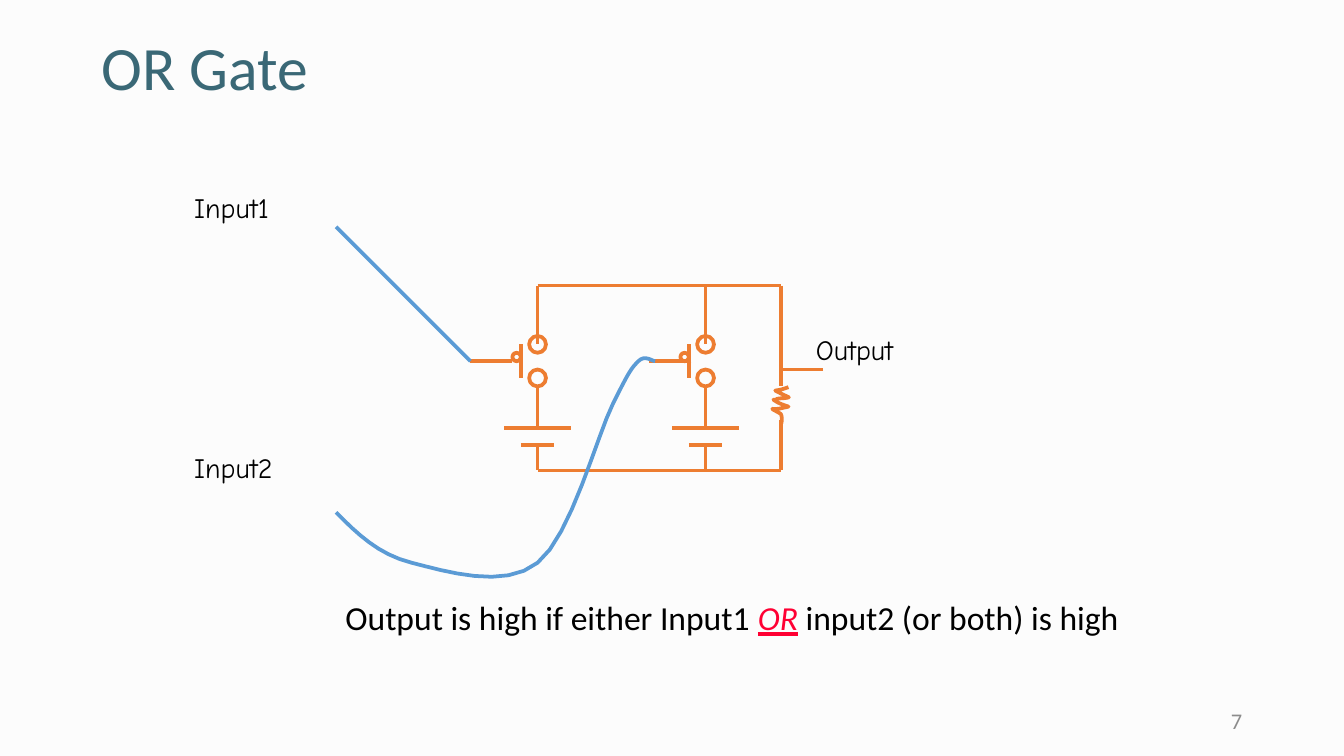
from dataclasses import dataclass

from lxml import etree
from pptx import Presentation
from pptx.dml.color import RGBColor
from pptx.enum import shapes, text
from pptx.oxml import ns
from pptx.util import Inches, Pt

CELL = Inches(1 / 16)
COLUMNS, ROWS = 160, 90
TOP_RAIL, BOTTOM_RAIL = 34, 56
POLES = (64, 84)
LOAD = 93
GATE_ROW = 43

INPUT2_WIRE = [
    (40, 61), (42.5, 63.5), (45, 66), (49, 67),
    (53, 68), (60, 70.2), (64, 67),
    (68, 63.8), (71, 52), (73, 48),
    (75, 44), (75.2, 43.8), (76, 43),
    (76.8, 42.2), (77.6, 43), (78, 43),
]
RESISTOR = [
    (93.6, 46), (93, 46.3), (92.8, 46.4), (92.1, 46.6),
    (92.6, 46.8), (93.2, 47), (93.8, 47.2),
    (93.3, 47.4), (92.9, 47.4), (92.6, 47.5),
    (92.2, 47.6), (92.5, 47.7), (92, 47.7),
    (92.4, 47.9), (92.6, 48), (93, 48.1),
    (93.3, 48.2), (93.9, 48.3), (93.9, 48.3),
    (93.3, 48.5), (92.7, 48.8), (92, 48.8),
    (92.3, 49), (92.8, 49.1), (93.1, 49.3),
    (93.3, 49.6), (93.3, 50.1), (93.3, 50.4),
]


@dataclass(frozen=True)
class Theme:
    background: str = "FCFCFC"
    title: str = "3A6876"
    ink: str = "000000"
    accent: str = "FF0033"
    muted: str = "8C8C8C"
    circuit: str = "ED7D31"
    signal: str = "5B9BD5"
    body_font: str = "Calibri"
    label_font: str = "Comic Neue"
    title_size: int = 33
    caption_size: int = 18
    label_size: int = 15
    number_size: int = 12
    stroke: int = 2


THEME = Theme()


def cells(*counts):
    return [round(count * CELL) for count in counts]


def color(code):
    return RGBColor.from_string(code)


def stroke(shape, code):
    shape.line.color.rgb = color(code)
    shape.line.width = Pt(THEME.stroke)


def add_wire(parent, x1, y1, x2, y2, code=THEME.circuit):
    wire = parent.add_connector(
        shapes.MSO_CONNECTOR.STRAIGHT, *cells(x1, y1, x2, y2))
    stroke(wire, code)
    etree.SubElement(wire._element.spPr, ns.qn("a:effectLst"))


def add_ring(parent, left, top, size):
    ring = parent.add_shape(
        shapes.MSO_SHAPE.OVAL, *cells(left, top, size, size))
    ring.shadow.inherit = False
    ring.fill.background()
    stroke(ring, THEME.circuit)


def curve_points(points, steps=8):
    """Sample a chain of cubic curves: a start, then three points per curve."""
    for first in range(0, len(points) - 1, 3):
        ends = points[first:first + 4]
        for step in range(1, steps + 1):
            t = step / steps
            weights = ((1 - t) ** 3, 3 * t * (1 - t) ** 2,
                       3 * t * t * (1 - t), t ** 3)
            yield cells(*(sum(w * p[axis] for w, p in zip(weights, ends))
                          for axis in (0, 1)))


def add_curve(parent, points, code, rotation=0):
    builder = parent.build_freeform(*cells(*points[0]))
    builder.add_line_segments(curve_points(points), close=False)
    curve = builder.convert_to_shape()
    curve.shadow.inherit = False
    curve.fill.background()
    curve.rotation = rotation
    stroke(curve, code)


def add_text(parent, area, spans, size, font=THEME.body_font, align=None,
             anchor=text.MSO_ANCHOR.TOP, spacing=None):
    """Write one paragraph; each span is its wording, colour and format."""
    frame = parent.add_textbox(*cells(*area)).text_frame
    settings = {
        "word_wrap": True, "vertical_anchor": anchor,
        "margin_left": Inches(0.07), "margin_right": Inches(0.07),
        "margin_top": Inches(0.04), "margin_bottom": Inches(0.04),
    }
    for name, value in settings.items():
        setattr(frame, name, value)
    para = frame.paragraphs[0]
    para.alignment = align
    para.line_spacing = spacing
    for wording, code, extra in spans:
        span = para.add_run()
        span.text = wording
        span.font.color.rgb = color(code)
        for name, value in {"name": font, "size": Pt(size), **extra}.items():
            setattr(span.font, name, value)


def add_switch(page, pole):
    """Draw a gated switch and its battery between the two rails."""
    group = page.shapes.add_group_shape().shapes
    add_wire(group, pole, TOP_RAIL, pole, 41)
    for top in (40, 44):
        add_ring(group, pole - 1, top, 2)
    for half_width, row in ((4, 51), (2, 53)):
        add_wire(group, pole - half_width, row, pole + half_width, row)
    add_wire(group, pole, 46, pole, 51)
    add_wire(group, pole, 53, pole, BOTTOM_RAIL)
    add_wire(group, pole - 2, 45, pole - 2, 41)
    add_ring(group, pole - 3, 42, 1)


def add_load(page):
    group = page.shapes.add_group_shape().shapes
    add_wire(group, LOAD, 50, LOAD, BOTTOM_RAIL)
    add_wire(group, LOAD, TOP_RAIL, LOAD, 46)
    add_curve(group, RESISTOR, THEME.circuit, rotation=7)


def add_circuit(page):
    for rail in (TOP_RAIL, BOTTOM_RAIL):
        add_wire(page.shapes, POLES[0], rail, LOAD, rail)
    for pole in POLES:
        add_switch(page, pole)
    add_load(page)
    for gate_end in (61, 82.3):
        add_wire(page.shapes, gate_end, GATE_ROW, gate_end - 5, GATE_ROW)
    add_wire(page.shapes, 98, 44, LOAD, 44)
    add_wire(page.shapes, 40, 27, 56, GATE_ROW, THEME.signal)
    add_curve(page.shapes, INPUT2_WIRE, THEME.signal)


def main():
    deck = Presentation()
    deck.slide_width, deck.slide_height = cells(COLUMNS, ROWS)
    page = deck.slides.add_slide(deck.slide_layouts[6])
    page.background.fill.solid()
    page.background.fill.fore_color.rgb = color(THEME.background)

    add_text(page.shapes, (11, 3.4, 138, 10.1),
             [("OR Gate", THEME.title, {})], THEME.title_size,
             anchor=text.MSO_ANCHOR.MIDDLE, spacing=0.9)
    add_circuit(page)
    for wording, left, top in (("Input1", 22, 22), ("Input2", 22, 53),
                               ("Output", 96, 39)):
        add_text(page.shapes, (left, top, 14, 5.3),
                 [(wording, THEME.ink, {})], THEME.label_size,
                 THEME.label_font)
    add_text(page.shapes, (40, 70.4, 102, 6), [
        ("Output is high if either Input1 ", THEME.ink, {}),
        ("OR", THEME.accent, {"italic": True, "underline": True}),
        (" input2 (or both) is high", THEME.ink, {}),
    ], THEME.caption_size)
    add_text(page.shapes, (113, 83.4, 36, 4.8),
             [("7", THEME.muted, {})], THEME.number_size,
             align=text.PP_ALIGN.RIGHT, anchor=text.MSO_ANCHOR.MIDDLE)
    deck.save("out.pptx")


if __name__ == "__main__":
    main()
